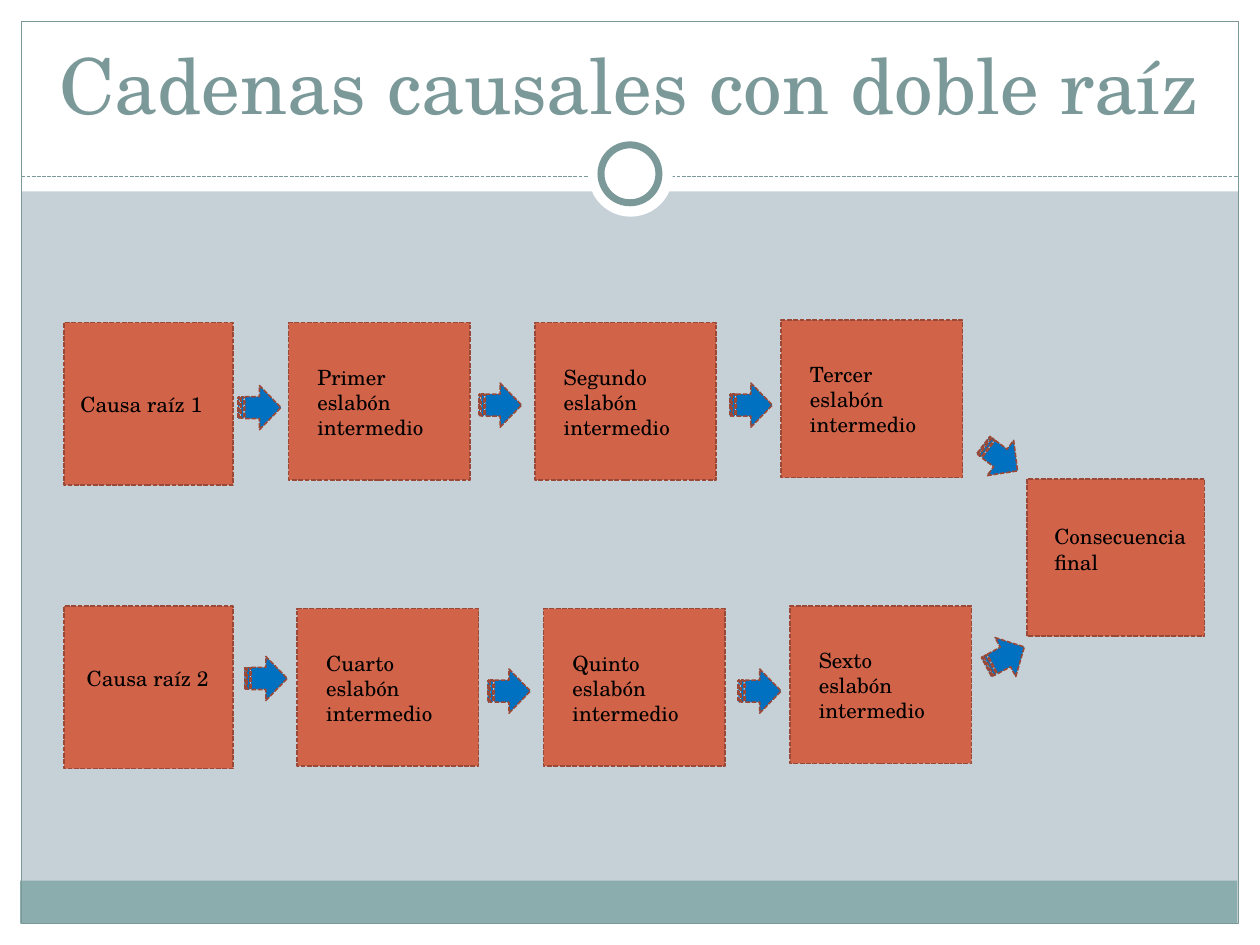
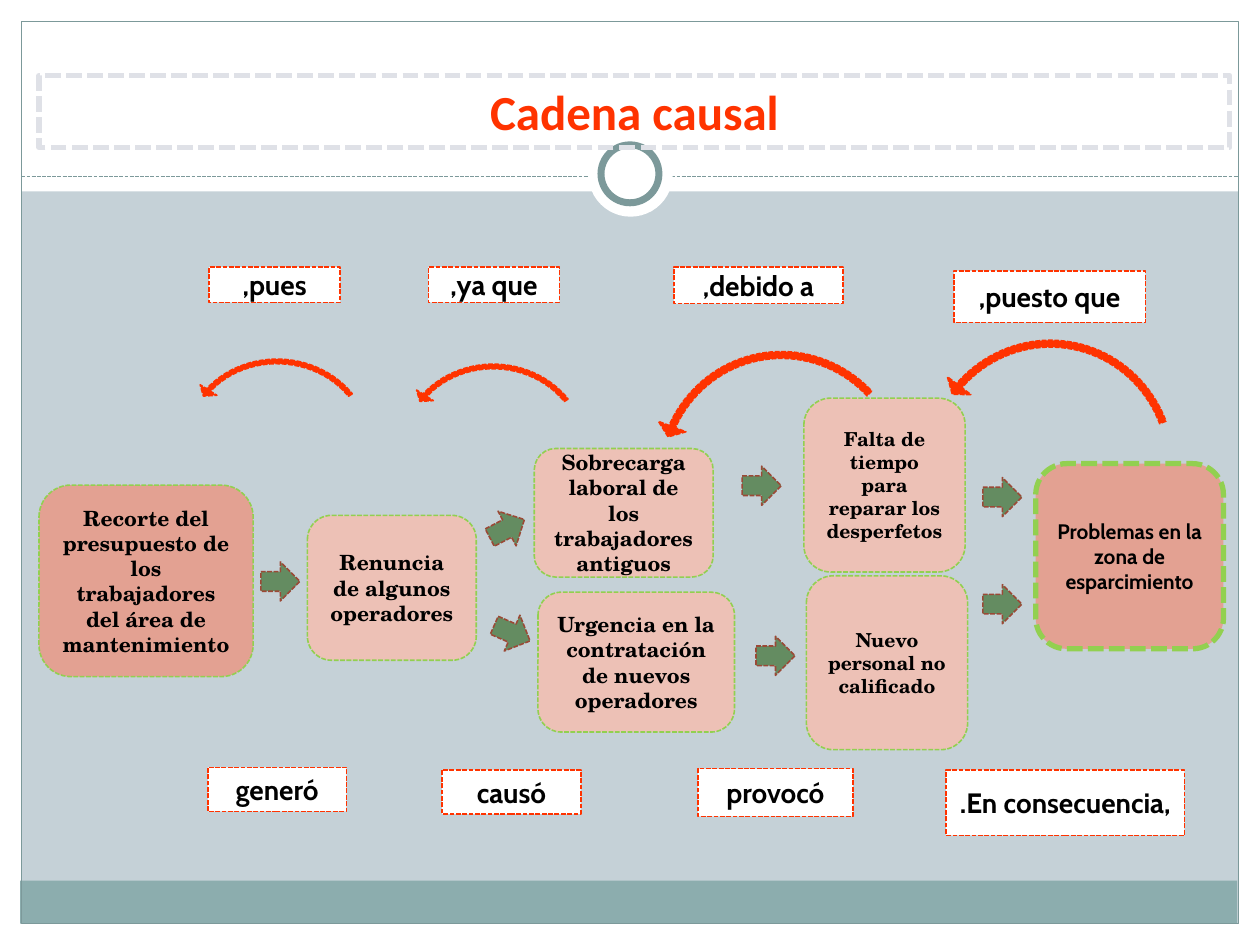
"""Build two slides that explain causal chains."""
import dataclasses

import lxml.etree
import pptx
import pptx.dml.color
import pptx.enum.dml
import pptx.enum.shapes
import pptx.enum.text
import pptx.oxml.ns
import pptx.util

Inches = pptx.util.Inches
SHAPE = pptx.enum.shapes.MSO_SHAPE
ALIGN = pptx.enum.text.PP_ALIGN
ANCHOR = pptx.enum.text.MSO_ANCHOR
FIT = pptx.enum.text.MSO_AUTO_SIZE


@dataclasses.dataclass(frozen=True)
class Theme:
    """Colours, fonts and type sizes of the deck."""
    ground: str = "C5D1D7"
    white: str = "FFFFFF"
    black: str = "000000"
    band: str = "8CADAE"
    frame: str = "7C999A"
    brick: str = "D16349"
    brick_edge: str = "9B4936"
    blue: str = "0070C0"
    red: str = "FF3300"
    pale_grey: str = "DFE1E7"
    salmon: str = "E3A192"
    blush: str = "EDC1B6"
    lime: str = "92D050"
    green: str = "648C61"
    serif: str = "TeX Gyre Schola"
    sans: str = "Cabin"
    heading: str = "Calibri"
    title_size: int = 44
    banner_size: int = 28
    label_size: int = 16
    body_size: int = 12
    small_size: int = 11
    hairline: float = 0.75
    thin: float = 0.9
    thick: float = 3
    ring: float = 4


THEME = Theme()


def rgb(value):
    """Return a colour object for a hexadecimal value."""
    return pptx.dml.color.RGBColor.from_string(value)


def style_line(line, colour, width, dashed=True):
    """Set colour, width and dash of a line."""
    line.color.rgb = rgb(colour)
    line.width = pptx.util.Pt(width)
    if dashed:
        line.dash_style = pptx.enum.dml.MSO_LINE.SQUARE_DOT


def add_figure(page, kind, place, fill=None, edge=None, width=THEME.thin, dashed=True, turn=0):
    """Add a preset shape with an optional fill and outline."""
    figure = page.shapes.add_shape(kind, *map(Inches, place))
    figure.shadow.inherit = False
    figure.rotation = turn
    if fill:
        figure.fill.solid()
        figure.fill.fore_color.rgb = rgb(fill)
    else:
        figure.fill.background()
    if edge:
        style_line(figure.line, edge, width, dashed)
    else:
        figure.line.fill.background()
    return figure


def write(box, text, font, size, colour=THEME.black, bold=False, align=ALIGN.CENTER,
          anchor=ANCHOR.MIDDLE, fit=FIT.NONE):
    """Write one paragraph into a box."""
    frame = box.text_frame
    frame_format = {"word_wrap": True, "auto_size": fit, "vertical_anchor": anchor}
    for name, value in frame_format.items():
        setattr(frame, name, value)
    para = frame.paragraphs[0]
    para.alignment = align
    span = para.add_run()
    span.text = text
    span_format = {"name": font, "size": pptx.util.Pt(size), "bold": bold}
    for name, value in span_format.items():
        setattr(span.font, name, value)
    span.font.color.rgb = rgb(colour)


def add_caption(page, place, text):
    """Add justified text over a link of the chain."""
    box = page.shapes.add_textbox(*map(Inches, place))
    write(box, text, THEME.serif, THEME.body_size, align=ALIGN.JUSTIFY,
          anchor=ANCHOR.TOP, fit=FIT.SHAPE_TO_FIT_TEXT)


def add_page(deck):
    """Add a blank page with the shared frame, bands and ring."""
    page = deck.slides.add_slide(deck.slide_layouts[6])
    for place in ((0, 7.33, 10, 0.17), (0, 0, 10, 1.52), (0, 0, 0.17, 7.5), (9.83, 0, 0.17, 7.5)):
        add_figure(page, SHAPE.RECTANGLE, place, THEME.white)
    add_figure(page, SHAPE.RECTANGLE, (0.16, 6.99, 9.66, 0.34), THEME.band)
    add_figure(page, SHAPE.RECTANGLE, (0.17, 0.17, 9.66, 7.16), None, THEME.frame,
               THEME.hairline, dashed=False)
    divider = page.shapes.add_connector(pptx.enum.shapes.MSO_CONNECTOR.STRAIGHT,
                                        *map(Inches, (0.17, 1.4, 9.83, 1.4)))
    style_line(divider.line, THEME.frame, THEME.hairline)
    lxml.etree.SubElement(divider._element.spPr, pptx.oxml.ns.qn("a:effectLst"))
    add_figure(page, SHAPE.OVAL, (4.67, 1.05, 0.67, 0.67), THEME.white)
    add_figure(page, SHAPE.OVAL, (4.77, 1.15, 0.46, 0.46), THEME.white, THEME.frame,
               THEME.ring, dashed=False)
    return page


def add_link(page, place):
    """Add a brick-coloured link."""
    add_figure(page, SHAPE.RECTANGLE, place, THEME.brick, THEME.brick_edge)


def add_striped_arrow(page, left, top, turn=0):
    """Add a blue striped arrow."""
    add_figure(page, SHAPE.STRIPED_RIGHT_ARROW, (left, top, 0.34, 0.35),
               THEME.blue, THEME.brick_edge, turn=turn)


def add_link_row(page, left, top, names):
    """Add three intermediate links with arrows between them."""
    for index, name in enumerate(names):
        link_left = left + 1.955 * index
        link_top = top - (0.02 if index == 2 else 0)
        add_link(page, (link_left, link_top, 1.44, 1.25))
        add_caption(page, (link_left + 0.13, link_top + 0.28, 1.18, 0.71),
                    f"{name} eslabón intermedio")
    for index in range(2):
        add_striped_arrow(page, left + 1.51 + 1.99 * index, top + 0.48)


def build_double_root(deck):
    """Build the page with two root causes and one consequence."""
    page = add_page(deck)
    title = page.shapes.add_textbox(*map(Inches, (0.33, 0.25, 9.33, 0.83)))
    write(title, "Cadenas causales con doble raíz", THEME.serif, THEME.title_size,
          THEME.frame, anchor=ANCHOR.BOTTOM)
    add_link_row(page, 2.29, 2.56, ("Primer", "Segundo", "Tercer"))
    add_link_row(page, 2.36, 4.83, ("Cuarto", "Quinto", "Sexto"))
    roots = (("Causa raíz 1", 2.56, 0.54, 3.06), ("Causa raíz 2", 4.81, 0.59, 5.23))
    for name, top, text_left, text_top in roots:
        add_link(page, (0.51, top, 1.34, 1.29))
        add_caption(page, (text_left, text_top, 1.2, 0.3), name)
    add_link(page, (8.15, 3.8, 1.41, 1.25))
    add_caption(page, (8.27, 4.11, 1.3, 0.5), "Consecuencia final")
    for arrow in ((1.89, 3.06), (1.94, 5.21), (7.77, 3.46, 37), (7.81, 5.04, 332)):
        add_striped_arrow(page, *arrow)


def add_arc(page, place, turn, sweep):
    """Add a red curved arrow that points back to a cause."""
    arc = add_figure(page, SHAPE.LEFT_CIRCULAR_ARROW, place, THEME.red, THEME.red, turn=turn)
    for index, value in enumerate((0.025, 3.094, 20.849, sweep, 0.054)):
        arc.adjustments[index] = value


def add_connective(page, text, *place):
    """Add a white label with a linking phrase."""
    label = add_figure(page, SHAPE.RECTANGLE, place, THEME.white, THEME.red)
    write(label, text, THEME.sans, THEME.label_size, bold=True)


def add_event(page, text, place, fill=THEME.blush, size=THEME.body_size, font=THEME.serif,
              width=THEME.thin):
    """Add a rounded event of the chain."""
    event = add_figure(page, SHAPE.ROUNDED_RECTANGLE, place, fill, THEME.lime, width)
    write(event, text, font, size, bold=True)


def build_example(deck):
    """Build the page with a worked causal chain."""
    page = add_page(deck)
    banner = add_figure(page, SHAPE.RECTANGLE, (0.31, 0.6, 9.45, 0.57), None,
                        THEME.pale_grey, THEME.thick)
    write(banner, "Cadena causal", THEME.heading, THEME.banner_size, THEME.red, bold=True,
          anchor=ANCHOR.TOP, fit=FIT.SHAPE_TO_FIT_TEXT)

    arcs = (
        ((1.41, 2.79, 1.59, 1.45), 182.6, 86.391),
        ((3.13, 2.83, 1.58, 1.45), 182.6, 86.391),
        ((5.13, 2.7, 2.16, 2.22), 171.1, 86.391),
        ((7.25, 2.61, 2.16, 2.21), 187.6, 90.245),
    )
    for arc in arcs:
        add_arc(page, *arc)

    connectives = (
        (",pues", 1.66, 2.12, 1.04, 0.28),
        (",ya que", 3.4, 2.12, 1.04, 0.28),
        (",debido a", 5.35, 2.12, 1.34, 0.29),
        (",puesto que", 7.57, 2.15, 1.52, 0.41),
        ("generó", 1.65, 6.09, 1.1, 0.35),
        ("causó", 3.51, 6.11, 1.1, 0.35),
        ("provocó", 5.54, 6.1, 1.23, 0.38),
        (".En consecuencia,", 7.51, 6.11, 1.89, 0.52),
    )
    for connective in connectives:
        add_connective(page, *connective)

    add_event(page, "Recorte del presupuesto de los trabajadores del área de mantenimiento",
              (0.31, 3.85, 1.7, 1.52), THEME.salmon)
    add_event(page, "Renuncia de algunos operadores", (2.44, 4.09, 1.34, 1.15))
    add_event(page, "Sobrecarga laboral de los trabajadores antiguos", (4.24, 3.56, 1.42, 1.02))
    add_event(page, "Urgencia en la contratación de nuevos operadores",
              (4.27, 4.7, 1.56, 1.11))
    add_event(page, "Falta de tiempo para reparar los desperfetos",
              (6.38, 3.16, 1.28, 1.38), size=THEME.small_size)
    add_event(page, "Nuevo personal no calificado", (6.4, 4.57, 1.28, 1.38),
              size=THEME.small_size)
    add_event(page, "Problemas en la zona de esparcimiento", (8.22, 3.68, 1.49, 1.47),
              THEME.salmon, font=THEME.sans, width=THEME.thick)

    arrows = ((2.07, 4.46, 0), (3.87, 4.04, 332.5), (3.91, 4.87, 23.6), (5.89, 3.7, 0),
              (6, 5.05, 0), (7.8, 3.79, 0), (7.8, 4.64, 0))
    for left, top, turn in arrows:
        add_figure(page, SHAPE.RIGHT_ARROW, (left, top, 0.31, 0.31), THEME.green,
                   THEME.brick_edge, turn=turn)


def main():
    """Build and save the deck."""
    deck = pptx.Presentation()
    deck.slide_width, deck.slide_height = Inches(10), Inches(7.5)
    ground = deck.slide_master.background.fill
    ground.solid()
    ground.fore_color.rgb = rgb(THEME.ground)
    build_double_root(deck)
    build_example(deck)
    deck.save("out.pptx")


if __name__ == "__main__":
    main()
